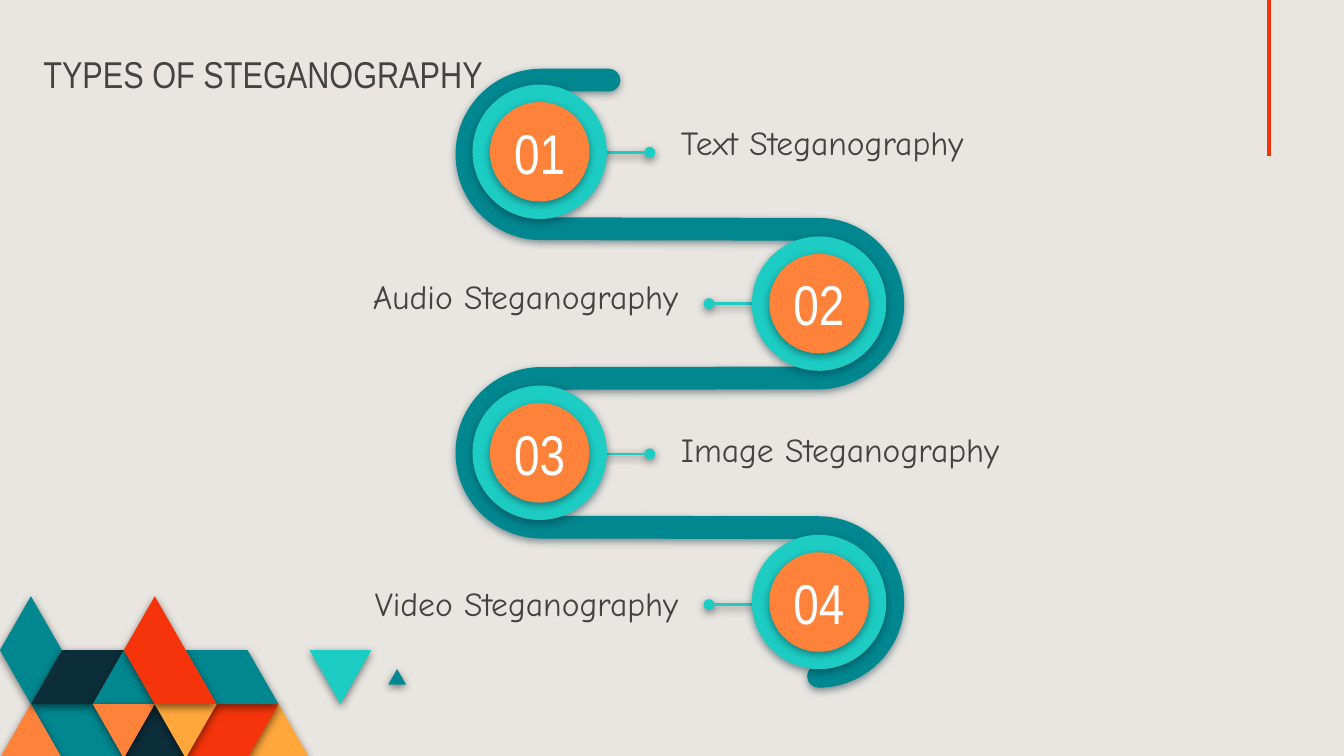
"""Build the slide on the four types of steganography."""
from dataclasses import dataclass
from math import cos, radians, sin

from lxml import etree
from pptx import Presentation
from pptx.dml.color import RGBColor
from pptx.enum.shapes import MSO_CONNECTOR, MSO_SHAPE
from pptx.enum.text import MSO_ANCHOR, PP_ALIGN
from pptx.oxml.ns import qn
from pptx.shapes.autoshape import Shape
from pptx.shapes.connector import Connector
from pptx.slide import Slide
from pptx.util import Cm, Pt

STRAIGHT = MSO_CONNECTOR.STRAIGHT
OVAL = MSO_SHAPE.OVAL
LEFT, CENTER, RIGHT = PP_ALIGN.LEFT, PP_ALIGN.CENTER, PP_ALIGN.RIGHT
TOP, MIDDLE, BOTTOM = MSO_ANCHOR.TOP, MSO_ANCHOR.MIDDLE, MSO_ANCHOR.BOTTOM

PAPER = RGBColor(0xE9, 0xE6, 0xE1)
TEAL = RGBColor(0x01, 0x87, 0x90)
TURQUOISE = RGBColor(0x1D, 0xCD, 0xC3)
ORANGE = RGBColor(0xFF, 0x82, 0x3B)
AMBER = RGBColor(0xFF, 0xA7, 0x3B)
RED = RGBColor(0xF5, 0x34, 0x0B)
NAVY = RGBColor(0x0C, 0x2E, 0x3A)
GREY = RGBColor(0x43, 0x43, 0x43)
WHITE = RGBColor(0xFF, 0xFF, 0xFF)
BLACK = RGBColor(0, 0, 0)

HEADING_FONT, LABEL_FONT = "Arial Narrow", "Comic Neue"
RING_LEFT, RING_RIGHT = 10.2, 15.48
BEND_LEFT, BEND_RIGHT = 10.23, 15.47
BEND_TOP, BEND_STEP = 2.92, 2.82
OUTER, INNER = 1.62, 1.19
BEND_RADIUS, HALF_BAND = (OUTER + INNER) / 2, (OUTER - INNER) / 2
RING_SIZE, DISC_SIZE = 2.54, 1.88
LEADER_NEAR, LEADER_FAR = 0.83, 2.08
LABEL_TOP, LABEL_STEP = 2.06, 2.9
LABEL_WIDTH, TEXT_HEIGHT = 8.9, 1.6
TILE_HALF, TILE_HEIGHT, TILE_TOP = 0.585, 1.02, 11.27
ARC_POINTS, QUARTER_HANDLE = 7, 0.55

Point = tuple[float, float]


@dataclass
class Step:
    label: str
    on_left: bool
    ring_y: float
    leader_y: float

    @property
    def x(self) -> float:
        return RING_LEFT if self.on_left else RING_RIGHT


@dataclass
class Tile:
    color: RGBColor
    corners: list[Point]


STEPS = [
    Step("Text Steganography", True, 2.87, 2.88),
    Step("Audio Steganography", False, 5.74, 5.74),
    Step("Image Steganography", True, 8.56, 8.58),
    Step("Video Steganography", False, 11.38, 11.43),
]

TILES = [
    Tile(AMBER, [(9, 2), (8, 3), (10, 3)]),
    Tile(RED, [(7, 2), (9, 2), (8, 3), (6, 3)]),
    Tile(TEAL, [(1, 2), (3, 2), (4, 3), (2, 3)]),
    Tile(ORANGE, [(1, 2), (2, 3), (0, 3)]),
    Tile(NAVY, [(5, 2), (6, 3), (4, 3)]),
    Tile(TEAL, [(6, 1), (8, 1), (9, 2), (7, 2)]),
    Tile(TEAL, [(12.83, 1.35), (13.12, 1.64), (12.54, 1.64)]),
    Tile(TURQUOISE, [(10, 1), (12, 1), (11, 2)]),
    Tile(TEAL, [(1, 0), (2, 1), (1, 2), (0, 1)]),
    Tile(NAVY, [(2, 1), (4, 1), (3, 2), (1, 2)]),
    Tile(TEAL, [(4, 1), (5, 2), (3, 2)]),
    Tile(ORANGE, [(3, 2), (5, 2), (4, 3)]),
    Tile(AMBER, [(5, 2), (7, 2), (6, 3)]),
    Tile(RED, [(5, 0), (7, 2), (5, 2), (4, 1)]),
]


def add_shadow(item: Shape | Connector, color: RGBColor) -> None:
    """Give a shape or connector a soft shadow below it."""
    effects = etree.SubElement(item._element.spPr, qn("a:effectLst"))
    shadow = etree.SubElement(effects, qn("a:outerShdw"), blurRad="57150",
                              dist="19050", dir="5400000", algn="bl", rotWithShape="0")
    tint = etree.SubElement(shadow, qn("a:srgbClr"), val=str(color))
    etree.SubElement(tint, qn("a:alpha"), val="50000")


def paint(shape: Shape, color: RGBColor, shadow: RGBColor) -> None:
    """Fill a shape, drop its outline and shade it."""
    shape.fill.solid()
    shape.fill.fore_color.rgb = color
    shape.line.fill.background()
    add_shadow(shape, shadow)


def add_polygon(slide: Slide, points: list[Point], color: RGBColor, shadow: RGBColor) -> Shape:
    """Draw a closed outline through points given in centimetres."""
    corners = [(Cm(x), Cm(y)) for x, y in points]
    builder = slide.shapes.build_freeform(*corners[0])
    builder.add_line_segments(corners[1:], close=True)
    polygon = builder.convert_to_shape()
    paint(polygon, color, shadow)
    return polygon


def add_line(slide: Slide, start: Point, end: Point, color: RGBColor, width: float) -> Connector:
    """Draw a straight line."""
    line = slide.shapes.add_connector(STRAIGHT, *map(Cm, (*start, *end)))
    line.line.color.rgb = color
    line.line.width = Pt(width)
    return line


def add_disc(slide: Slide, x: float, y: float, size: float, color: RGBColor) -> Shape:
    """Draw a circle around its centre."""
    disc = slide.shapes.add_shape(OVAL, Cm(x - size / 2), Cm(y - size / 2), Cm(size), Cm(size))
    paint(disc, color, NAVY)
    return disc


def set_text(shape: Shape, text: str, font: str, size: float, color: RGBColor,
             align: PP_ALIGN, anchor: MSO_ANCHOR, inset: float = 0.25) -> None:
    """Write one formatted paragraph into a shape."""
    frame = shape.text_frame
    frame.text = text
    frame.word_wrap = True
    frame.vertical_anchor = anchor
    frame.margin_left = frame.margin_right = Cm(inset)
    frame.margin_top = frame.margin_bottom = Cm(inset)
    paragraph = frame.paragraphs[0]
    paragraph.alignment = align
    for run in paragraph.runs:
        run.font.name = font
        run.font.size = Pt(size)
        run.font.color.rgb = color


def half_circle(x: float, y: float, radius: float, start: int, turn: int) -> list[Point]:
    """Return the ends and handles of two quarter curves."""
    points = []
    for quarter in range(3):
        angle = radians(start + turn * 90 * quarter)
        for handle in (-QUARTER_HANDLE, 0, QUARTER_HANDLE):
            points.append((x + radius * (cos(angle) - turn * handle * sin(angle)),
                           y + radius * (sin(angle) + turn * handle * cos(angle))))
    return points[1:-1]


def ribbon_edge(left_radius: float, right_radius: float) -> list[Point]:
    """Return one edge of the winding band."""
    points = []
    for i, step in enumerate(STEPS):
        x, radius, turn = ((BEND_LEFT, left_radius, -1) if step.on_left
                           else (BEND_RIGHT, right_radius, 1))
        points += half_circle(x, BEND_TOP + BEND_STEP * i, radius, -90, turn)
    return points


def add_ribbon(slide: Slide) -> None:
    """Draw the winding band, turning its handles into curves."""
    last_y = BEND_TOP + BEND_STEP * (len(STEPS) - 1)
    outline = (ribbon_edge(OUTER, INNER)
               + half_circle(BEND_RIGHT, last_y + BEND_RADIUS, HALF_BAND, -90, -1)
               + ribbon_edge(INNER, OUTER)[::-1]
               + half_circle(11.51, BEND_TOP - BEND_RADIUS, HALF_BAND, 90, -1))
    ribbon = add_polygon(slide, outline, TEAL, NAVY)
    segments = list(ribbon._element.iter(qn("a:moveTo"), qn("a:lnTo")))
    for first in range(0, len(segments), ARC_POINTS):
        for start in (first + 1, first + 4):
            handle_in, handle_out, end = segments[start:start + 3]
            curve = etree.Element(qn("a:cubicBezTo"))
            handle_in.addprevious(curve)
            for segment in (handle_in, handle_out, end):
                curve.append(segment[0])
                segment.getparent().remove(segment)


def add_leader(slide: Slide, step: Step) -> None:
    """Draw the dotted pointer from a ring towards its label."""
    way = 1 if step.on_left else -1
    near, far = ((step.x + way * gap, step.leader_y) for gap in (LEADER_NEAR, LEADER_FAR))
    leader = add_line(slide, near, far, TURQUOISE, 1.5)
    etree.SubElement(leader.line._get_or_add_ln(), qn("a:tailEnd"), type="oval")
    add_shadow(leader, BLACK)


def main() -> None:
    """Assemble and save the slide."""
    deck = Presentation()
    deck.slide_width, deck.slide_height = Cm(25.4), Cm(14.29)
    slide = deck.slides.add_slide(deck.slide_layouts[5])
    slide.background.fill.solid()
    slide.background.fill.fore_color.rgb = PAPER

    heading = slide.shapes.title
    heading.left, heading.top, heading.width, heading.height = map(Cm, (-1.14, 0.46, 10.52, 1.6))
    set_text(heading, "TYPES OF STEGANOGRAPHY", HEADING_FONT, 20, GREY, RIGHT, BOTTOM)

    for tile in TILES:
        corners = [(c * TILE_HALF, TILE_TOP + r * TILE_HEIGHT) for c, r in tile.corners]
        add_polygon(slide, corners, tile.color, BLACK)
    accent = add_line(slide, (23.98, 0), (23.98, 2.95), RED, 2.25)
    etree.SubElement(accent._element.spPr, qn("a:effectLst"))

    for step in STEPS:
        add_leader(slide, step)
    add_ribbon(slide)
    for i, step in enumerate(STEPS):
        add_disc(slide, step.x, step.ring_y, RING_SIZE, TURQUOISE)
        disc = add_disc(slide, step.x, step.ring_y, DISC_SIZE, ORANGE)
        set_text(disc, f"{i + 1:02}", HEADING_FONT, 30, WHITE, CENTER, MIDDLE, 0)
        label_left = 12.62 if step.on_left else 13.07 - LABEL_WIDTH
        label = slide.shapes.add_textbox(Cm(label_left), Cm(LABEL_TOP + LABEL_STEP * i),
                                         Cm(LABEL_WIDTH), Cm(TEXT_HEIGHT))
        set_text(label, step.label, LABEL_FONT, 18, GREY, LEFT if step.on_left else RIGHT, TOP)
    deck.save("out.pptx")


if __name__ == "__main__":
    main()
